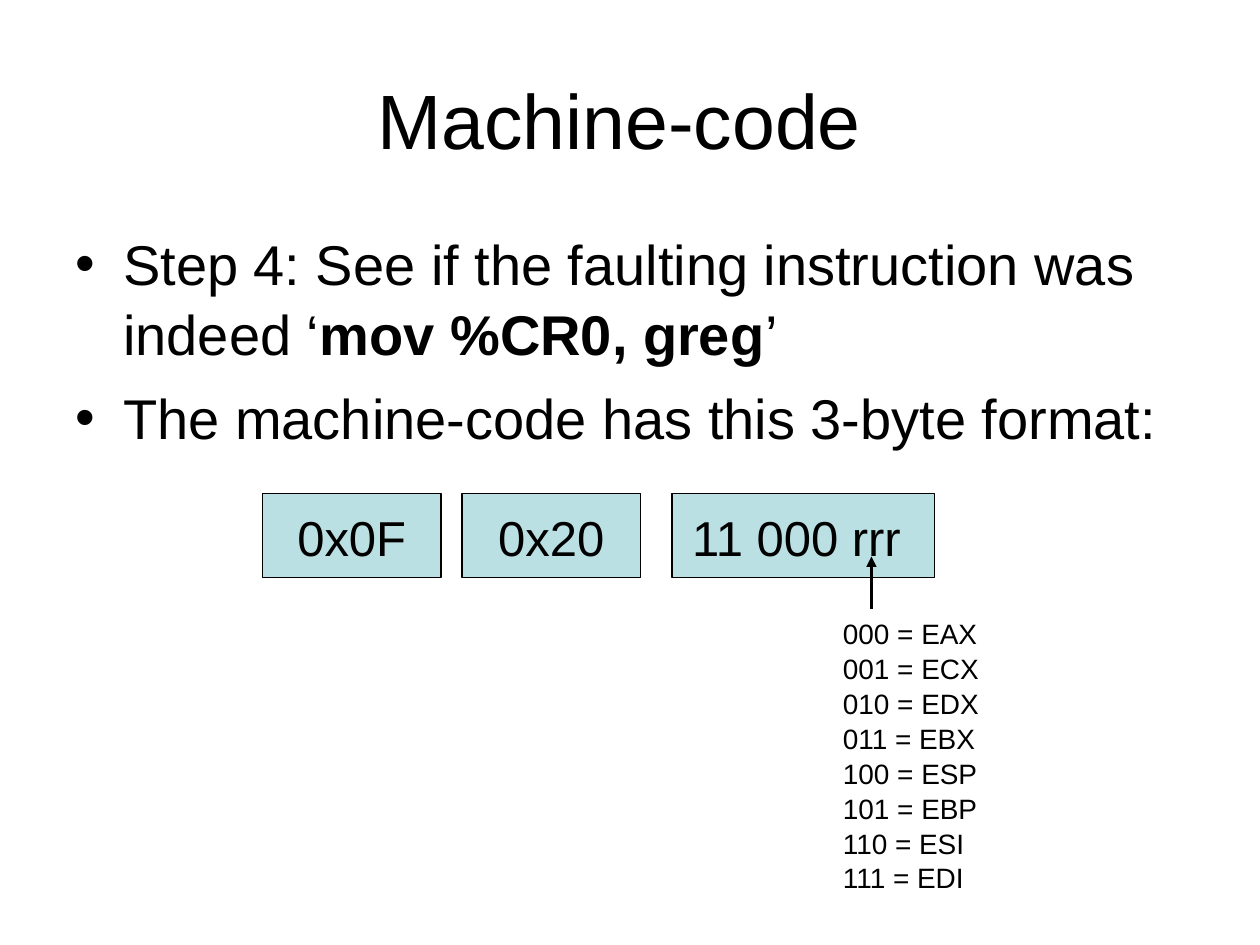
from dataclasses import dataclass

from lxml.etree import SubElement
from pptx import Presentation
from pptx.dml.color import RGBColor as Color
from pptx.enum.shapes import MSO_CONNECTOR as Connector, MSO_SHAPE as Preset
from pptx.enum.text import MSO_ANCHOR as Anchor, MSO_AUTO_SIZE as AutoSize, PP_ALIGN as Align
from pptx.oxml.ns import qn
from pptx.util import Inches, Pt


@dataclass(frozen=True)
class Theme:
    font: str = "Arial"
    ink: Color = Color(0x00, 0x00, 0x00)
    byte_fill: Color = Color(0xBB, 0xE0, 0xE3)
    title: int = 44
    body: int = 32
    byte: int = 28
    register: int = 16
    line_spacing: float = 1.04


THEME = Theme()


def cells(count):
    """Length of grid cells, twelve to the inch."""
    return Inches(count / 12)


def place(box):
    return [cells(count) for count in box]


def add_bullet(paragraph):
    properties = paragraph._p.get_or_add_pPr()
    properties.set("marL", str(Inches(0.38)))
    properties.set("indent", str(Inches(-0.38)))
    SubElement(properties, qn("a:buFont"), typeface=THEME.font)
    SubElement(properties, qn("a:buChar"), char="•")


def write(shape, paragraphs, size, align=Align.LEFT, anchor=Anchor.TOP,
          wrap=True, bullets=False, gap=0):
    """Fill a shape with paragraphs, each a list of (text, bold) runs."""
    frame = shape.text_frame
    frame.word_wrap = wrap
    frame.vertical_anchor = anchor
    for index, runs in enumerate(paragraphs):
        paragraph = frame.add_paragraph() if index else frame.paragraphs[0]
        paragraph.alignment = align
        paragraph.line_spacing = THEME.line_spacing
        if index and gap:
            paragraph.space_before = Pt(gap)
        if bullets:
            add_bullet(paragraph)
        for text, bold in runs:
            run = paragraph.add_run()
            run.text = text
            run.font.name = THEME.font
            run.font.size = Pt(size)
            run.font.bold = bold
            run.font.color.rgb = THEME.ink


def add_title(slide, box, text):
    write(slide.shapes.add_textbox(*place(box)), [[(text, False)]], THEME.title,
          align=Align.CENTER, anchor=Anchor.MIDDLE)


def add_body(slide, box, paragraphs):
    write(slide.shapes.add_textbox(*place(box)), paragraphs, THEME.body,
          bullets=True, gap=8)


def add_instruction(slide, box, fields):
    """Draw byte boxes from (offset, width, text) within the row."""
    left, top, _, height = box
    for offset, width, text in fields:
        shape = slide.shapes.add_shape(
            Preset.RECTANGLE, *place((left + offset, top, width, height)))
        shape.shadow.inherit = False
        shape.fill.solid()
        shape.fill.fore_color.rgb = THEME.byte_fill
        shape.line.color.rgb = THEME.ink
        shape.line.width = Pt(0.75)
        write(shape, [[(text, False)]], THEME.byte, align=Align.CENTER,
              anchor=Anchor.MIDDLE, wrap=False)


def add_registers(slide, box, registers):
    """List the register codes under an arrow up to the register field."""
    left, top, _, _ = box
    arrow_x = cells(left + 3.9)
    arrow = slide.shapes.add_connector(
        Connector.STRAIGHT, arrow_x, cells(top - 5), arrow_x, cells(top))
    arrow.line.color.rgb = THEME.ink
    arrow.line.width = Pt(1.5)
    SubElement(arrow.line._get_or_add_ln(), qn("a:headEnd"), type="triangle")
    SubElement(arrow._element.spPr, qn("a:effectLst"))

    textbox = slide.shapes.add_textbox(*place(box))
    lines = [[(f"{code:03b} = {name}", False)] for code, name in enumerate(registers)]
    write(textbox, lines, THEME.register, wrap=False)
    textbox.text_frame.auto_size = AutoSize.SHAPE_TO_FIT_TEXT


def main():
    presentation = Presentation()
    presentation.slide_width, presentation.slide_height = Inches(10), Inches(7.5)
    slide = presentation.slides.add_slide(presentation.slide_layouts[6])

    # Heading and explanation
    add_title(slide, (6, 3.6, 108, 15), "Machine-code ")
    add_body(slide, (6, 21, 108, 59.4), [
        [("Step 4: See if the faulting instruction was indeed ‘", False),
         ("mov %CR0, greg", True), ("’", False)],
        [("The machine-code has this 3-byte format:", False)],
    ])

    # Three-byte instruction and its register field
    add_instruction(slide, (25, 47, 64, 8), [
        (0, 17, "0x0F"), (19, 17, "0x20"), (39, 25, "11 000 rrr "),
    ])
    add_registers(slide, (79.1, 58, 15.4, 26.9),
                  ["EAX", "ECX", "EDX", "EBX", "ESP", "EBP", "ESI", "EDI"])

    presentation.save("out.pptx")


if __name__ == "__main__":
    main()
